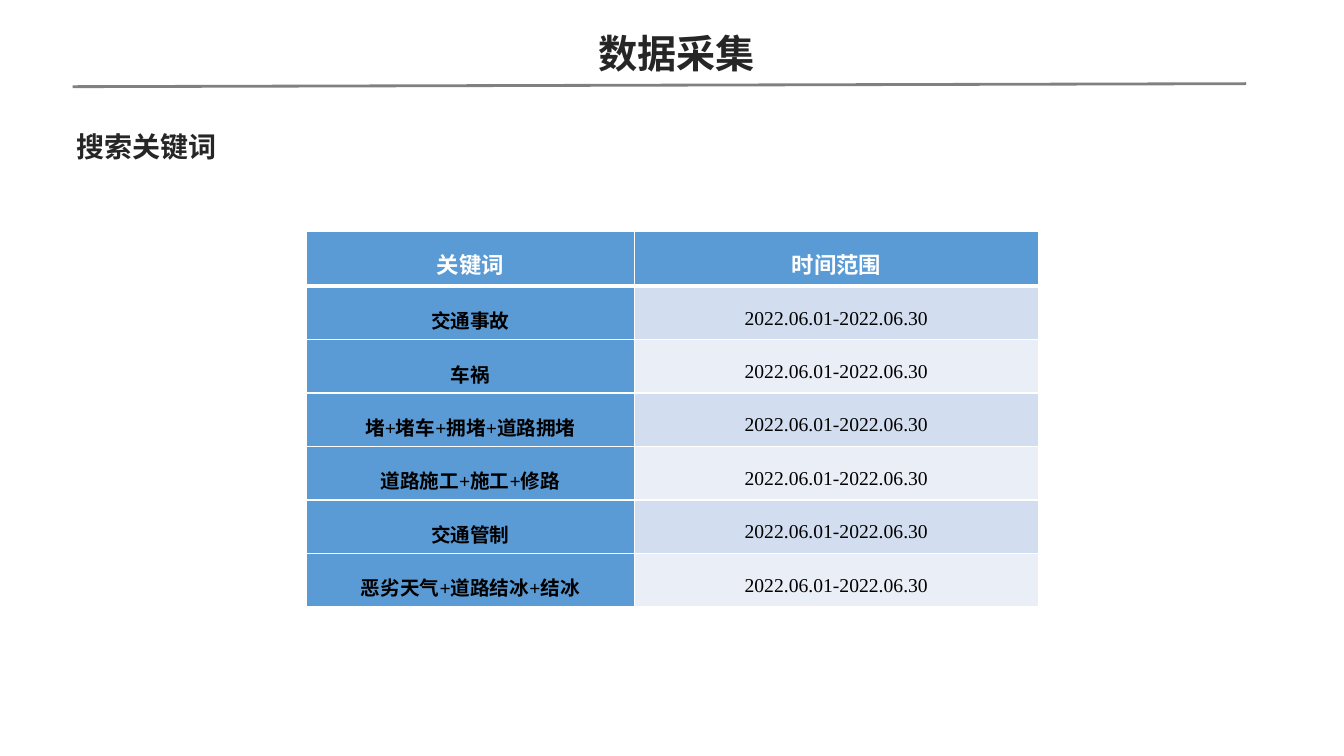
from lxml import etree
from pptx import Presentation
from pptx.dml.color import RGBColor
from pptx.enum.shapes import MSO_CONNECTOR
from pptx.enum.text import MSO_ANCHOR, MSO_AUTO_SIZE, PP_ALIGN
from pptx.oxml.ns import qn
from pptx.util import Inches, Pt

LINE = MSO_CONNECTOR.STRAIGHT
TOP, MIDDLE = MSO_ANCHOR.TOP, MSO_ANCHOR.MIDDLE
LEFT, CENTER = PP_ALIGN.LEFT, PP_ALIGN.CENTER
NO_FIT = MSO_AUTO_SIZE.NONE
CJK, SERIF = "Noto Sans CJK SC", "Times New Roman"
COLORS = {"ink": "262626", "rule": "808080", "white": "FFFFFF", "black": "000000",
          "blue": "5B9BD5", "band": "D2DEEF", "pale": "EAEFF7"}


def color(name):
    return RGBColor.from_string(COLORS[name])


def write(tf, text, size, ink, align, spacing, latin=CJK, bold=True):
    p = tf.paragraphs[0]
    p.alignment = align
    p.line_spacing = spacing
    r = p.add_run()
    r.text = text
    r.font.size = Pt(size)
    r.font.bold = bold
    r.font.color.rgb = color(ink)
    r.font.name = latin
    etree.SubElement(r.font._element, qn("a:ea"), typeface=CJK)


prs = Presentation()
prs.slide_width, prs.slide_height = Inches(13.33), Inches(7.5)
s = prs.slides.add_slide(prs.slide_layouts[5])

rule = s.shapes.add_connector(LINE, Inches(0.72), Inches(0.86), Inches(12.36), Inches(0.83))
rule.line.color.rgb = color("rule")
rule.line.width = Pt(2)
etree.SubElement(rule._element.spPr, qn("a:effectLst"))

title = s.shapes.title
title.left, title.top = 0, Inches(0.24)
title.width, title.height = prs.slide_width, Inches(0.57)
tf = title.text_frame
tf.auto_size = NO_FIT
tf.vertical_anchor = TOP
write(tf, " 数据采集", 28, "ink", CENTER, 1.0)

heading = s.shapes.add_textbox(Inches(0.66), Inches(1.07), Inches(4.86), Inches(0.55))
tf = heading.text_frame
tf.word_wrap = True
write(tf, "搜索关键词", 20, "ink", LEFT, 1.5)

period = "2022.06.01-2022.06.30"
keywords = ["交通事故", "车祸", "堵+堵车+拥堵+道路拥堵", "道路施工+施工+修路",
            "交通管制", "恶劣天气+道路结冰+结冰"]
rows = [("关键词", "时间范围")] + [(keyword, period) for keyword in keywords]

table = s.shapes.add_table(len(rows), 2, Inches(3.04), Inches(2.3),
                           Inches(7.26), Inches(3.72)).table
for column, width in zip(table.columns, (3.25, 4.01)):
    column.width = Inches(width)

for i, row in enumerate(rows):
    header = i == 0
    table.rows[i].height = Inches(0.54 if header else 0.53)
    for j, text in enumerate(row):
        cell = table.cell(i, j)
        cell.margin_left = cell.margin_right = Inches(0.07)
        cell.margin_top = cell.margin_bottom = 0
        cell.vertical_anchor = TOP if header else MIDDLE
        band = "band" if i % 2 else "pale"
        cell.fill.solid()
        cell.fill.fore_color.rgb = color("blue" if header or j == 0 else band)
        write(cell.text_frame, text, 16 if header else 14, "white" if header else "black",
              CENTER, 1.5, SERIF, header or j == 0)
        tcPr = cell._tc.get_or_add_tcPr()
        for k, side in enumerate("LRTB"):
            thick = (i, side) in ((0, "B"), (1, "T"))
            ln = etree.Element(qn("a:ln" + side), w=str(Pt(3 if thick else 1)))
            fill = etree.SubElement(ln, qn("a:solidFill"))
            etree.SubElement(fill, qn("a:srgbClr"), val=COLORS["white"])
            tcPr.insert(k, ln)

prs.save("out.pptx")
